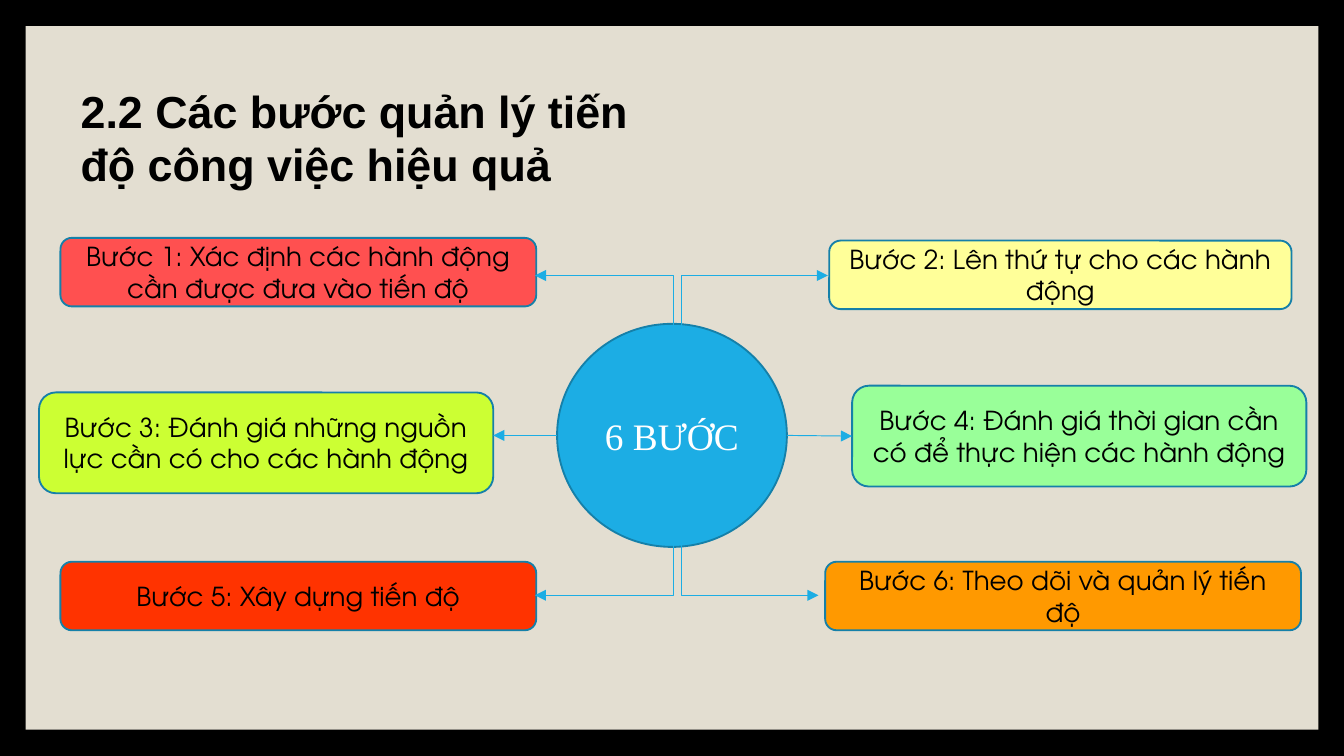
from lxml.etree import SubElement
from pptx import Presentation
from pptx.dml.color import RGBColor
from pptx.enum.shapes import MSO_CONNECTOR as Connector, MSO_SHAPE as Shape
from pptx.enum.text import MSO_ANCHOR as Anchor, MSO_AUTO_SIZE as AutoSize, PP_ALIGN as Align
from pptx.oxml.ns import qn
from pptx.util import Pt

EMU_PER_PX = 4572  # 200 px to the inch

BLACK = RGBColor(0x00, 0x00, 0x00)
WHITE = RGBColor(0xFF, 0xFF, 0xFF)
BEIGE = RGBColor(0xE3, 0xDE, 0xD1)
BLUE = RGBColor(0x1C, 0xAD, 0xE4)
DARK_BLUE = RGBColor(0x15, 0x80, 0xA9)
CORAL = RGBColor(0xFF, 0x50, 0x50)
YELLOW = RGBColor(0xFF, 0xFF, 0x99)
LIME = RGBColor(0xCC, 0xFF, 0x33)
MINT = RGBColor(0x99, 0xFF, 0x99)
RED = RGBColor(0xFF, 0x33, 0x00)
ORANGE = RGBColor(0xFF, 0x99, 0x00)

STEPS = [
    ("Bước 1: Xác định các hành động cần được đưa vào tiến độ", CORAL, (90, 354, 708, 102)),
    ("Bước 2: Lên thứ tự cho các hành động", YELLOW, (1234, 358, 688, 102)),
    ("Bước 3: Đánh giá những nguồn lực cần có cho các hành động", LIME, (58, 584, 676, 150)),
    ("Bước 4: Đánh giá thời gian cần có để thực hiện các hành động", MINT, (1268, 574, 676, 150)),
    ("Bước 5: Xây dựng tiến độ", RED, (90, 836, 708, 102)),
    ("Bước 6: Theo dõi và quản lý tiến độ", ORANGE, (1228, 836, 708, 102)),
]

# begin, end, position of the bend, arrowheads
ELBOWS = [
    ((796, 410), (1074, 562), 0.74, ("headEnd", "tailEnd")),
    ((796, 886), (1108, 732), 0.66, ("headEnd", "tailEnd")),
    ((870, 612), (1232, 410), 0.4, ("tailEnd",)),
    ((956, 674), (1218, 886), 0.22, ("tailEnd",)),
]


def px(*lengths):
    """Turn px lengths into a list of EMU values."""
    return [length * EMU_PER_PX for length in lengths]


def set_font(paragraph, name, size, color, bold=False):
    font = paragraph.font
    font.name, font.size, font.bold = name, Pt(size), bold
    font.color.rgb = color


def add_block(slide, kind, box, fill, line=None):
    shape = slide.shapes.add_shape(kind, *px(*box))
    shape.shadow.inherit = False
    shape.fill.solid()
    shape.fill.fore_color.rgb = fill
    if line is None:
        shape.line.fill.background()
    else:
        shape.line.color.rgb = line
        shape.line.width = Pt(1)
    return shape


def add_label(slide, kind, box, fill, text, font, size, color):
    shape = add_block(slide, kind, box, fill, DARK_BLUE)
    frame = shape.text_frame
    frame.word_wrap = True
    frame.vertical_anchor = Anchor.MIDDLE
    paragraph = frame.paragraphs[0]
    paragraph.text = text
    paragraph.alignment = Align.CENTER
    set_font(paragraph, font, size, color)
    return shape


def add_arrow(slide, begin, end, kind=Connector.STRAIGHT, bend=None, heads=("tailEnd",)):
    """Draw a connector; bend is the share of its width before the turn."""
    connector = slide.shapes.add_connector(kind, *px(*begin, *end))
    connector.line.color.rgb = BLUE
    connector.line.width = Pt(0.5)
    line = connector.line._get_or_add_ln()
    for head in heads:
        SubElement(line, qn(f"a:{head}"), type="triangle")
    properties = connector.element.spPr
    SubElement(properties, qn("a:effectLst"))
    if bend is not None:
        guides = properties.find(qn("a:prstGeom")).find(qn("a:avLst"))
        SubElement(guides, qn("a:gd"), name="adj1", fmla=f"val {round(bend * 100000)}")
    return connector


def set_title(slide, text):
    title = slide.shapes.title
    title.left, title.top, title.width, title.height = px(100, 114, 856, 182)
    frame = title.text_frame
    frame.word_wrap = True
    frame.auto_size = AutoSize.NONE
    frame.vertical_anchor = Anchor.TOP
    paragraph = frame.paragraphs[0]
    paragraph.text = text
    paragraph.alignment = Align.LEFT
    set_font(paragraph, "Arial", 24, BLACK, bold=True)


def main():
    presentation = Presentation()
    presentation.slide_width, presentation.slide_height = px(2000, 1125)
    slide = presentation.slides.add_slide(presentation.slide_layouts[5])
    slide.background.fill.solid()
    slide.background.fill.fore_color.rgb = BLACK

    panel = add_block(slide, Shape.RECTANGLE, (38, 39, 1924, 1047), BEIGE)
    slide.shapes.title.element.addprevious(panel.element)
    set_title(slide, "2.2 Các bước quản lý tiến độ công việc hiệu quả")

    add_label(slide, Shape.OVAL, (829, 482, 342, 332), BLUE,
              "6 BƯỚC", "Times New Roman", 20, WHITE)
    boxes = [
        add_label(slide, Shape.ROUNDED_RECTANGLE, box, fill,
                  text, "TeX Gyre Adventor", 14, BLACK)
        for text, fill, box in STEPS
    ]

    for begin, end, bend, heads in ELBOWS:
        add_arrow(slide, begin, end, Connector.ELBOW, bend, heads)
    add_arrow(slide, (829, 648), (734, 648))
    add_arrow(slide, (1171, 648), (1268, 649)).end_connect(boxes[3], 1)

    presentation.save("out.pptx")


if __name__ == "__main__":
    main()
